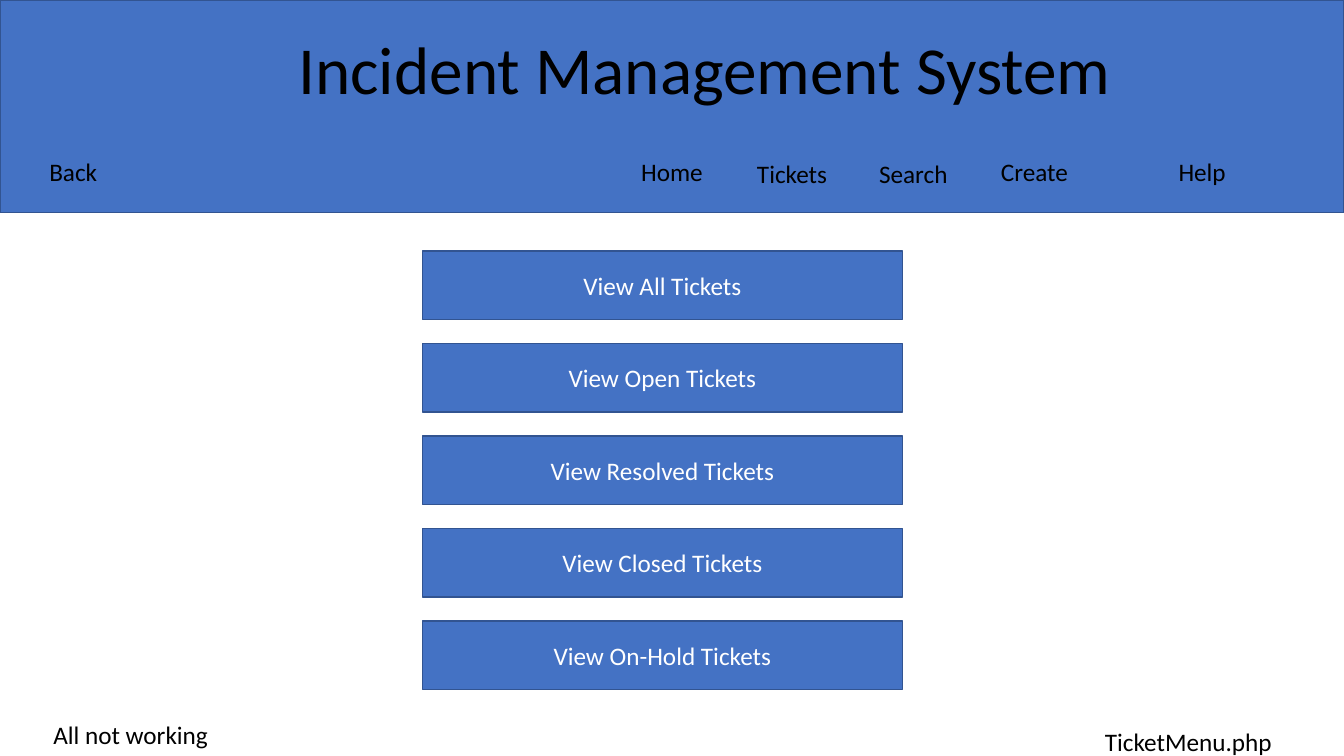
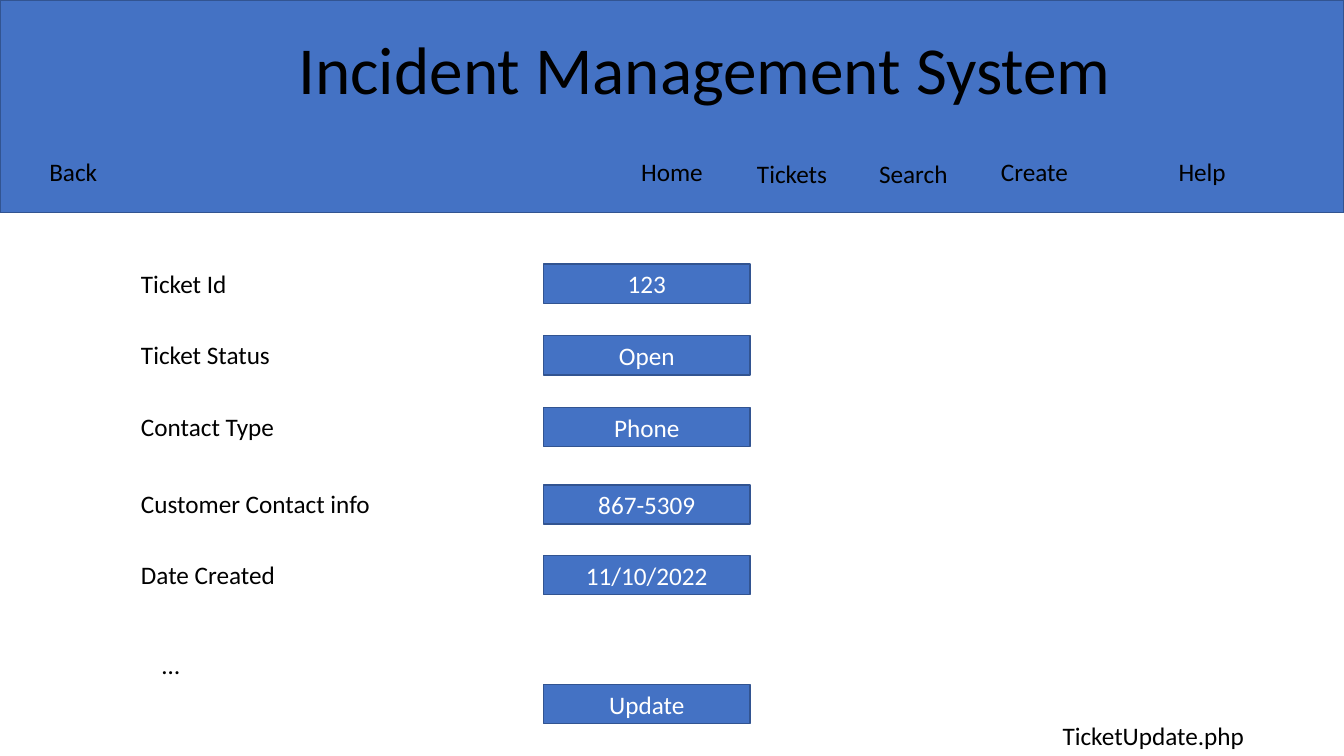
import dataclasses
import typing

import pptx
import pptx.dml.color
import pptx.enum.shapes
import pptx.enum.text
import pptx.util

Inches = pptx.util.Inches
RGBColor = pptx.dml.color.RGBColor
Align = pptx.enum.text.PP_ALIGN
Anchor = pptx.enum.text.MSO_ANCHOR
AutoSize = pptx.enum.text.MSO_AUTO_SIZE

# Shared look
BLUE = RGBColor(0x44, 0x72, 0xC4)
DARK_BLUE = RGBColor(0x32, 0x54, 0x91)
BLACK = RGBColor(0x00, 0x00, 0x00)
WHITE = RGBColor(0xFF, 0xFF, 0xFF)

SLIDE_WIDTH, SLIDE_HEIGHT = 13.33, 7.5
LABEL_HEIGHT = 0.4

TITLE_FONT = {"name": "Calibri", "size": pptx.util.Pt(48)}
BODY_FONT = {"name": "Calibri", "size": pptx.util.Pt(18)}
LABEL_FRAME = {"word_wrap": False, "auto_size": AutoSize.SHAPE_TO_FIT_TEXT,
               "vertical_anchor": Anchor.TOP}
BUTTON_FRAME = {"word_wrap": True, "vertical_anchor": Anchor.MIDDLE}


@dataclasses.dataclass(frozen=True)
class Box:
    left: float
    top: float
    width: float
    height: float = LABEL_HEIGHT

    def lengths(self) -> list[int]:
        return [Inches(side) for side in dataclasses.astuple(self)]


@dataclasses.dataclass(frozen=True)
class Label:
    text: str
    box: Box


@dataclasses.dataclass(frozen=True)
class Field:
    name: str
    value: str
    top: float
    name_width: float


# Content
TITLE = Label("Incident Management System", Box(2.86, 0.22, 8.35, 0.91))
BAND = Box(0, 0, SLIDE_WIDTH, 2.11)
NAVIGATION = [
    Label("Back", Box(0.39, 1.5, 0.68)),
    Label("Home", Box(6.26, 1.5, 0.82)),
    Label("Tickets", Box(7.41, 1.52, 0.9)),
    Label("Search", Box(8.62, 1.52, 0.89)),
    Label("Create", Box(9.83, 1.5, 0.87)),
    Label("Help", Box(11.59, 1.5, 0.68)),
]
MENU = ["View All Tickets", "View Open Tickets", "View Resolved Tickets",
        "View Closed Tickets", "View On-Hold Tickets"]
MENU_TOP, MENU_STEP = 2.49, 0.9175
MENU_NOTES = [
    Label("TicketMenu.php", Box(10.86, 7.16, 1.88)),
    Label("All not working ", Box(0.43, 7.09, 1.81)),
]
FIELDS = [
    Field("Ticket Id", "123", 2.61, 1.06),
    Field("Ticket Status", "Open", 3.32, 1.49),
    Field("Contact Type", "Phone", 4.03, 1.54),
    Field("Customer Contact info", "867-5309", 4.8, 2.5),
    Field("Date Created", "11/10/2022", 5.5, 1.55),
]
UPDATE_NOTES = [
    Label("…", Box(1.51, 6.39, 0.38)),
    Label("TicketUpdate.php", Box(10.44, 7.1, 2.02)),
]


def apply(target: typing.Any, values: dict[str, typing.Any]) -> None:
    for attribute, value in values.items():
        setattr(target, attribute, value)


def write(shape: typing.Any, text: str, frame: dict, font: dict,
          color: RGBColor, align: Align) -> None:
    apply(shape.text_frame, frame)
    paragraph = shape.text_frame.paragraphs[0]
    paragraph.alignment = align
    run = paragraph.add_run()
    run.text = text
    apply(run.font, font)
    run.font.color.rgb = color


def add_panel(slide: typing.Any, box: Box) -> typing.Any:
    panel = slide.shapes.add_shape(
        pptx.enum.shapes.MSO_SHAPE.RECTANGLE, *box.lengths())
    panel.shadow.inherit = False
    panel.fill.solid()
    panel.fill.fore_color.rgb = BLUE
    panel.line.color.rgb = DARK_BLUE
    panel.line.width = pptx.util.Pt(1)
    return panel


def add_button(slide: typing.Any, text: str, box: Box) -> None:
    write(add_panel(slide, box), text, BUTTON_FRAME, BODY_FONT, WHITE, Align.CENTER)


def add_labels(slide: typing.Any, labels: list[Label]) -> None:
    for label in labels:
        textbox = slide.shapes.add_textbox(*label.box.lengths())
        write(textbox, label.text, LABEL_FRAME, BODY_FONT, BLACK, Align.LEFT)


def add_page(deck: typing.Any) -> typing.Any:
    """Add a slide with the header band, title and navigation."""
    slide = deck.slides.add_slide(deck.slide_layouts.get_by_name("Title Only"))
    title = slide.shapes.title
    apply(title, dict(zip(("left", "top", "width", "height"), TITLE.box.lengths())))
    write(title, TITLE.text, LABEL_FRAME, TITLE_FONT, BLACK, Align.LEFT)
    band = add_panel(slide, BAND)
    band.element.addnext(title.element)  # title stands in front of the band
    add_labels(slide, NAVIGATION)
    return slide


def build_menu(deck: typing.Any) -> None:
    slide = add_page(deck)
    for row, text in enumerate(MENU):
        add_button(slide, text, Box(4.19, MENU_TOP + row * MENU_STEP, 4.76, 0.68))
    add_labels(slide, MENU_NOTES)


def build_update(deck: typing.Any) -> None:
    slide = add_page(deck)
    add_labels(slide, [Label(field.name, Box(1.3, field.top, field.name_width))
                       for field in FIELDS])
    buttons = [(field.value, field.top + 0.01) for field in FIELDS]
    for text, top in buttons + [("Update", 6.79)]:
        add_button(slide, text, Box(5.39, top, 2.05, 0.39))
    add_labels(slide, UPDATE_NOTES)


# Build the deck
presentation = pptx.Presentation()
presentation.slide_width = Inches(SLIDE_WIDTH)
presentation.slide_height = Inches(SLIDE_HEIGHT)
build_menu(presentation)
build_update(presentation)
presentation.save("out.pptx")
